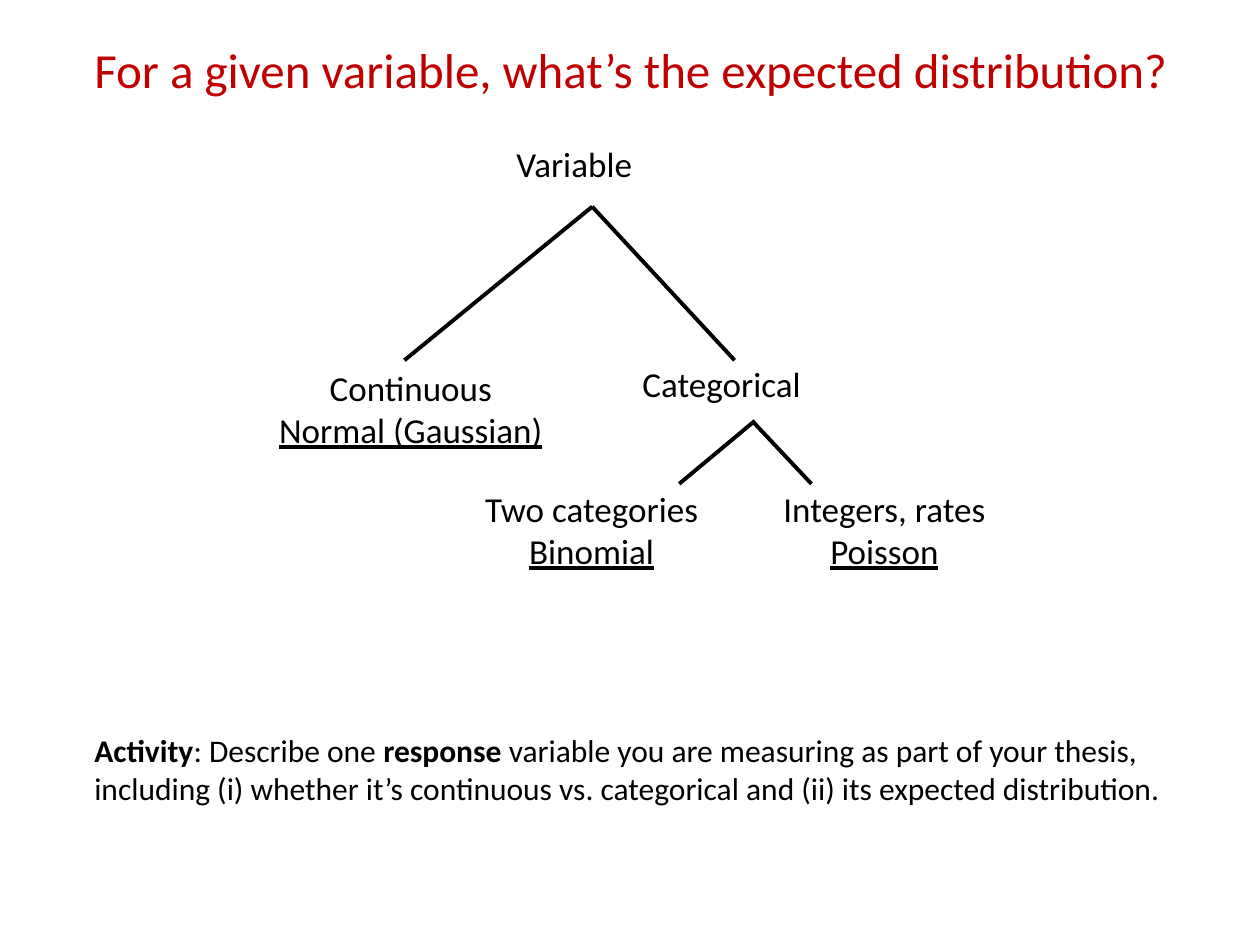
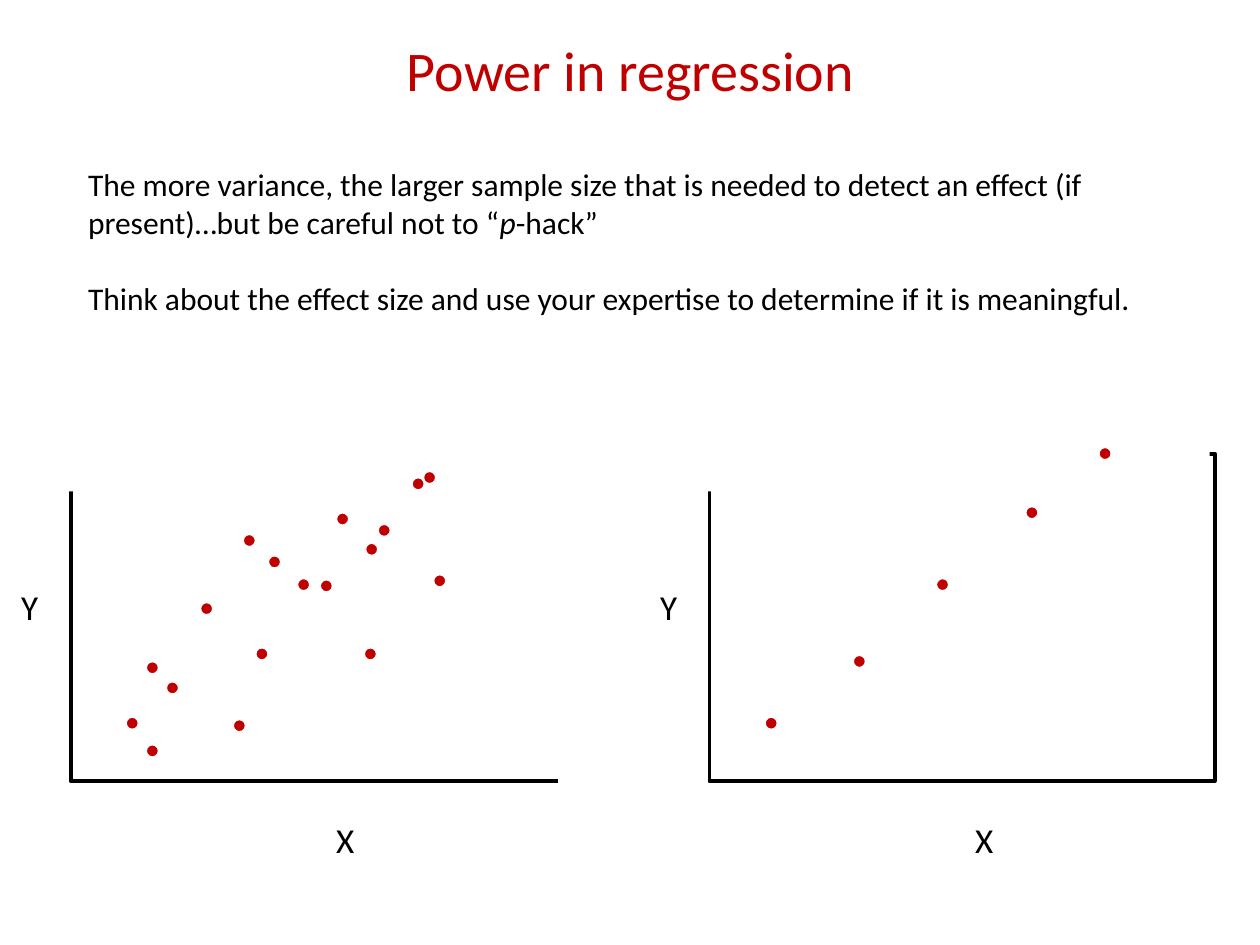
import pptx
import pptx.dml.color
import pptx.enum.shapes
import pptx.enum.text
import pptx.util
from lxml import etree

Pt = pptx.util.Pt
SHAPES = pptx.enum.shapes.MSO_SHAPE
ALIGN = pptx.enum.text.PP_ALIGN
ANCHOR = pptx.enum.text.MSO_ANCHOR
AUTO_SIZE = pptx.enum.text.MSO_AUTO_SIZE

FONT = "Calibri"
RED, BLACK, WHITE = "C00000", "000000", "FFFFFF"
LINE_WIDTH = 2.25
LABEL_SIZE, BODY_SIZE = 20, 18
DOT_SIZE = 7.2
TITLE_BOX = (7.2, 5.76, 706.32, 72)

BRANCHES = [
    (338.4, 118.1, 231.1, 205.9),
    (338.4, 118.1, 419.8, 205.9),
    (431.3, 240.5, 388.1, 276.5),
    (429.8, 240.5, 463.7, 276.5),
]
OUTCOMES = [
    ((142.6, 205.9, 184.3, 55.4), "Continuous", "Normal (Gaussian)"),
    ((261.4, 275, 153.4, 55.4), "Two categories", "Binomial"),
    ((433.4, 275, 144, 55.4), "Integers, rates", "Poisson"),
]
SPLITS = [
    ((288, 77.8, 89.3, 31.7), "Variable"),
    ((360, 203.8, 120.2, 31.7), "Categorical"),
]
NOISY_POINTS = [
    (43.2, 118.8), (54.7, 130.3), (43.2, 166.3), (74.2, 85), (105.8, 110.9),
    (98.6, 46.1), (113, 58.3), (175.7, 40.3), (151.9, 33.8), (195.1, 13.7),
    (142.6, 72), (168.5, 51.1), (92.9, 151.9), (31.7, 150.5), (167.8, 110.9),
    (129.6, 71.3), (207.4, 69.1), (201.6, 10.1),
]
TIGHT_POINTS = [(31.7, 150.5), (82.1, 115.2), (129.6, 71.3), (180.7, 30.2), (222.5, -3.6)]


def color(hex_string):
    return pptx.dml.color.RGBColor.from_string(hex_string)


def add_run(paragraph, words, size, ink=BLACK, bold=None, italic=None, underline=None):
    run = paragraph.add_run()
    run.text = words
    font = run.font
    font.name, font.size = FONT, Pt(size)
    font.color.rgb = color(ink)
    font.bold, font.italic, font.underline = bold, italic, underline


def add_text(slide, box, paragraphs, size, align=ALIGN.LEFT, wrap=True, gap=0):
    frame = slide.shapes.add_textbox(*map(Pt, box)).text_frame
    frame.word_wrap = wrap
    frame.auto_size = AUTO_SIZE.SHAPE_TO_FIT_TEXT
    for index, runs in enumerate(paragraphs):
        paragraph = frame.add_paragraph() if index else frame.paragraphs[0]
        paragraph.alignment = align
        if index and gap:
            paragraph.space_before = Pt(gap)
        for words, style in runs:
            add_run(paragraph, words, size, **style)


def add_figure(slide, preset, box, fill=None, outline=None, width=1):
    figure = slide.shapes.add_shape(preset, *map(Pt, box))
    figure.shadow.inherit = False
    if fill:
        figure.fill.solid()
        figure.fill.fore_color.rgb = color(fill)
    else:
        figure.fill.background()
    if outline:
        figure.line.color.rgb = color(outline)
        figure.line.width = Pt(width)
    else:
        figure.line.fill.background()
    return figure


def add_branch(slide, ends):
    branch = slide.shapes.add_connector(
        pptx.enum.shapes.MSO_CONNECTOR.STRAIGHT, *map(Pt, ends))
    branch.line.color.rgb = color(BLACK)
    branch.line.width = Pt(LINE_WIDTH)
    etree.SubElement(branch.element.spPr, pptx.oxml.ns.qn("a:effectLst"))


def add_title(slide, words, size):
    frame = add_figure(slide, SHAPES.RECTANGLE, TITLE_BOX, None, WHITE, 4.5).text_frame
    frame.word_wrap = True
    frame.vertical_anchor = ANCHOR.MIDDLE
    paragraph = frame.paragraphs[0]
    paragraph.alignment = ALIGN.CENTER
    paragraph.line_spacing = 0.9
    add_run(paragraph, words, size, RED)


def add_decision_tree(slide):
    for ends in BRANCHES:
        add_branch(slide, ends)
    for box, kind, distribution in OUTCOMES:
        add_text(slide, box, [[(kind, {})], [(distribution, {"underline": True})]],
                 LABEL_SIZE, ALIGN.CENTER, wrap=False)
    for box, words in SPLITS:
        add_text(slide, box, [[(words, {})]], LABEL_SIZE, wrap=False)


def add_scatter(slide, box, points, open_right):
    left, top, width, height = box
    add_figure(slide, SHAPES.RECTANGLE, box, None, BLACK, LINE_WIDTH)
    add_figure(slide, SHAPES.RECTANGLE, (left - 2.9, top - 5, width, 26.6), WHITE)
    if open_right:
        add_figure(slide, SHAPES.RECTANGLE,
                   (left + width - 10, top - 12.2, 26.6, height + 16.6), WHITE)
    for words, across, down in [("X", 144.7, 205.2), ("Y", -35.3, 72)]:
        add_text(slide, (left + across, top + down, 20.2, 31.7), [[(words, {})]], LABEL_SIZE)
    for across, down in points:
        add_figure(slide, SHAPES.OVAL, (left + across, top + down, DOT_SIZE, DOT_SIZE),
                   RED, WHITE)


def build_distribution_slide(slide):
    add_title(slide, "For a given variable, what’s the expected distribution?", 28)
    add_decision_tree(slide)
    activity = [
        ("Activity", {"bold": True}),
        (": Describe one ", {}),
        ("response", {"bold": True}),
        (" variable you are measuring as part of your thesis, including (i) whether it’s "
         "continuous vs. categorical and (ii) its expected distribution.", {}),
    ]
    add_text(slide, (46.8, 414, 661.7, 72.7), [activity], BODY_SIZE)


def build_power_slide(slide):
    add_title(slide, "Power in regression", 32)
    add_scatter(slide, (405.4, 259.2, 288.7, 187.2), TIGHT_POINTS, False)
    add_scatter(slide, (40.3, 259.2, 288.7, 187.2), NOISY_POINTS, True)
    advice = [
        [("The more variance, the larger sample size that is needed to detect an effect "
          "(if present)…but be careful not to “", {}),
         ("p", {"italic": True}),
         ("-hack”", {})],
        [("Think about the effect size and use your expertise to determine if it is "
          "meaningful.", {})],
    ]
    add_text(slide, (43.2, 90.7, 632.9, 116.6), advice, BODY_SIZE, gap=22)


def main():
    deck = pptx.Presentation()
    deck.slide_width, deck.slide_height = Pt(720), Pt(540)
    for build in (build_distribution_slide, build_power_slide):
        build(deck.slides.add_slide(deck.slide_layouts[6]))
    deck.save("out.pptx")


if __name__ == "__main__":
    main()
